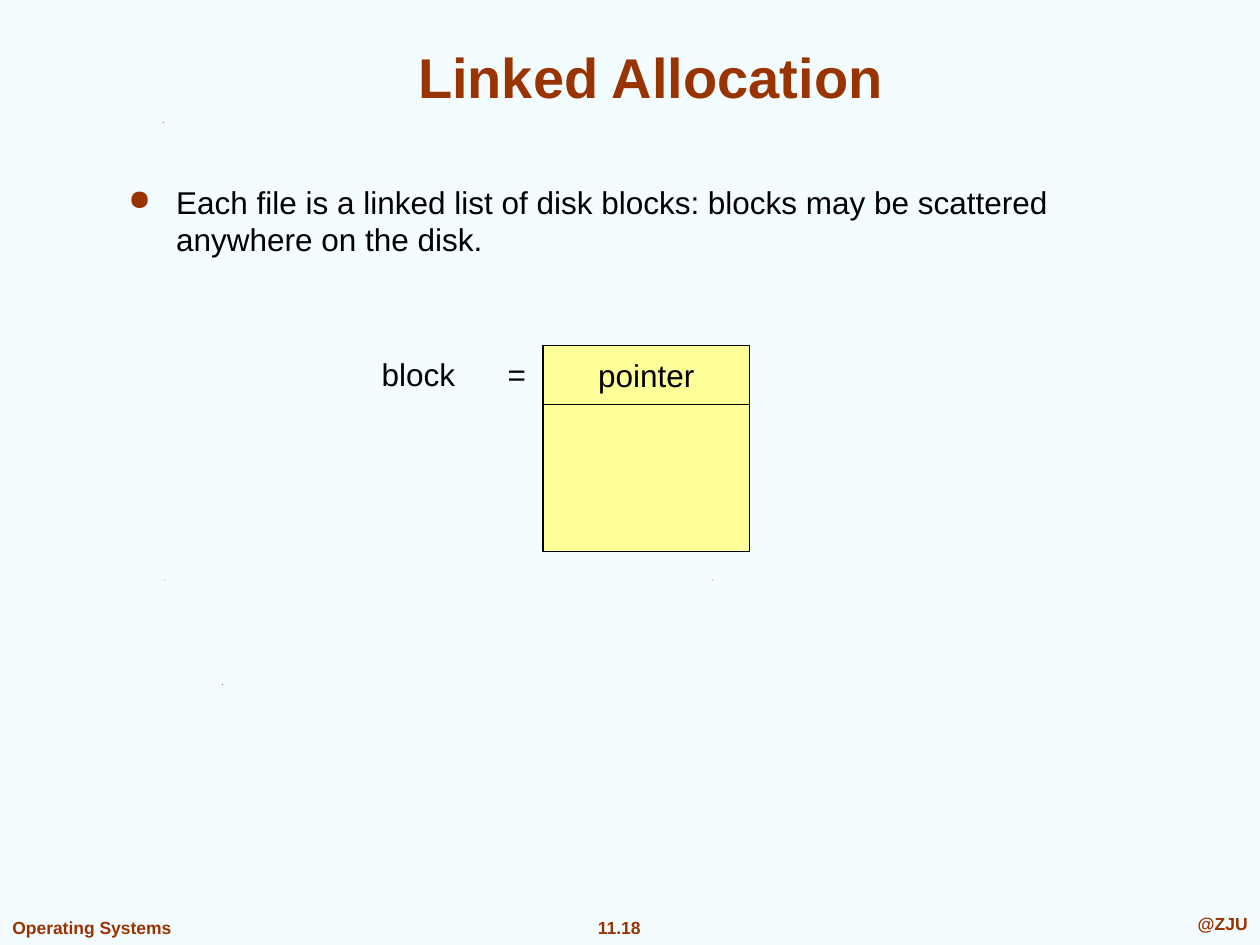
from lxml.etree import SubElement
from pptx import Presentation
from pptx.dml.color import RGBColor
from pptx.enum.shapes import MSO_SHAPE
from pptx.enum.text import MSO_ANCHOR, PP_ALIGN
from pptx.oxml.ns import qn
from pptx.util import Inches, Pt

WIDTH, HEIGHT = Inches(10), Inches(7.5)
RUST, BLACK, YELLOW, PALE = "993300", "000000", "FFFF99", "F3FCFF"


def color(value):
    return RGBColor.from_string(value)


def area(left, top, width, height):
    shares = zip((left, top, width, height), (WIDTH, HEIGHT, WIDTH, HEIGHT))
    return [round(share * length / 100) for share, length in shares]


def add_bullet(paragraph, indent):
    properties = paragraph._p.get_or_add_pPr()
    properties.set("marL", str(indent))
    properties.set("indent", str(-indent))
    bullet_color = SubElement(properties, qn("a:buClr"))
    SubElement(bullet_color, qn("a:srgbClr"), val=RUST)
    SubElement(properties, qn("a:buSzPct"), val="90000")
    SubElement(properties, qn("a:buChar"), char="●")


def add_tab(paragraph, position):
    properties = paragraph._p.get_or_add_pPr()
    tabs = SubElement(properties, qn("a:tabLst"))
    SubElement(tabs, qn("a:tab"), pos=str(position), algn="l")


def write(shape, text, size=18, ink=BLACK, bold=False, align=PP_ALIGN.LEFT,
          anchor=MSO_ANCHOR.TOP, wrap=True, bullet_indent=None, tab=None):
    frame = shape.text_frame
    frame.word_wrap = wrap
    frame.vertical_anchor = anchor
    paragraph = frame.paragraphs[0]
    paragraph.text = text
    paragraph.alignment = align
    if bullet_indent:
        add_bullet(paragraph, bullet_indent)
    if tab:
        add_tab(paragraph, tab)
    font = paragraph.font
    font.name, font.size, font.bold = "Arial", Pt(size), bold
    font.color.rgb = color(ink)


def add_text(slide, place, text, **style):
    write(slide.shapes.add_textbox(*area(*place)), text, **style)


def add_cell(slide, place):
    shape = slide.shapes.add_shape(MSO_SHAPE.RECTANGLE, *area(*place))
    shape.shadow.inherit = False
    shape.fill.solid()
    shape.fill.fore_color.rgb = color(YELLOW)
    shape.line.color.rgb = color(BLACK)
    shape.line.width = Pt(0.75)
    return shape


def add_speck(slide, left, top):
    x, y, width, height = area(left, top, 0.1, 0.1)
    builder = slide.shapes.build_freeform(x, y + height)
    builder.add_line_segments([(x + width, y), (x + width // 2, y + height)])
    speck = builder.convert_to_shape()
    speck.shadow.inherit = False
    speck.fill.solid()
    speck.fill.fore_color.rgb = color(BLACK)
    speck.line.fill.background()


def add_footer(slide):
    style = dict(size=10, ink=RUST, bold=True)
    add_text(slide, (0, 96.4, 14.7, 3.6), "Operating Systems", wrap=False, **style)
    add_text(slide, (46.3, 96.4, 5.7, 3.6), "11.18", wrap=False,
             align=PP_ALIGN.CENTER, **style)
    add_text(slide, (71, 96, 29, 3.6), "@ZJU", align=PP_ALIGN.RIGHT, **style)


def add_block_diagram(slide):
    left, top, width = 43.1, 36.53, 16.4
    pointer_height, data_height = 6.27, 15.6
    pointer = add_cell(slide, (left, top, width, pointer_height))
    write(pointer, "pointer", align=PP_ALIGN.CENTER,
          anchor=MSO_ANCHOR.MIDDLE, wrap=False)
    add_cell(slide, (left, top + pointer_height, width, data_height))
    add_text(slide, (29.3, 36.93, 13.5, 5.33), "block\t=",
             anchor=MSO_ANCHOR.MIDDLE, tab=WIDTH // 10)


def main():
    presentation = Presentation()
    presentation.slide_width, presentation.slide_height = WIDTH, HEIGHT
    slide = presentation.slides.add_slide(presentation.slide_layouts[6])
    slide.background.fill.solid()
    slide.background.fill.fore_color.rgb = color(PALE)
    for left, top in [(17.6, 72.4), (13, 61.33), (56.5, 61.33), (12.9, 12.93)]:
        add_speck(slide, left, top)
    add_footer(slide)
    add_text(slide, (7.5, 3.33, 88.3, 8.93), "Linked Allocation", size=32,
             ink=RUST, bold=True, align=PP_ALIGN.CENTER, anchor=MSO_ANCHOR.BOTTOM)
    add_text(slide, (9.2, 18.67, 80.4, 10.8),
             "Each file is a linked list of disk blocks: blocks may be "
             "scattered anywhere on the disk.", bullet_indent=Inches(0.38))
    add_block_diagram(slide)
    presentation.save("out.pptx")


if __name__ == "__main__":
    main()
